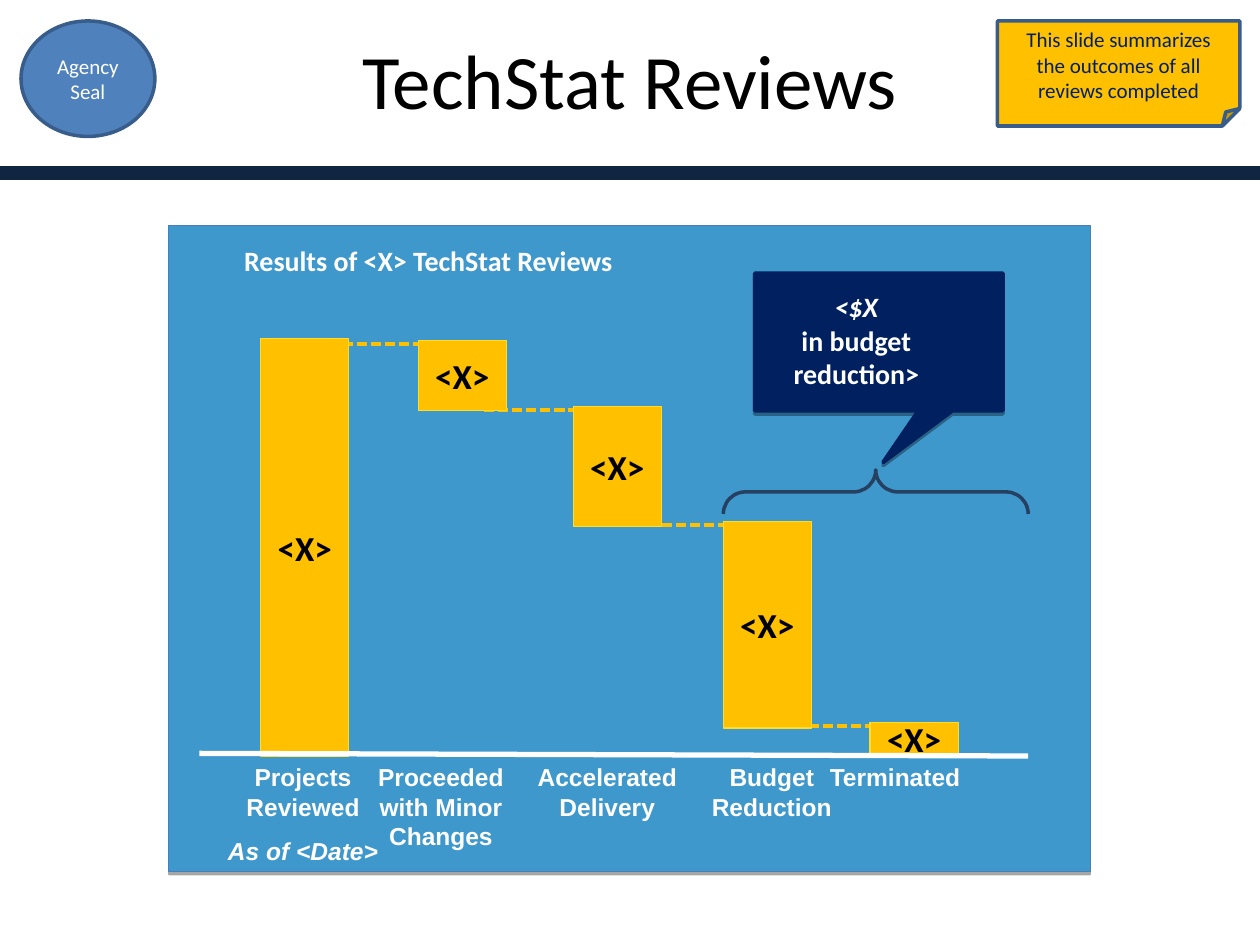
from dataclasses import dataclass
from itertools import chain

from lxml.etree import SubElement
from pptx import Presentation
from pptx.dml.color import RGBColor
from pptx.enum.dml import MSO_LINE_DASH_STYLE as Dash
from pptx.enum.shapes import MSO_CONNECTOR as Link, MSO_SHAPE as Kind
from pptx.enum.text import MSO_ANCHOR as Anchor, PP_ALIGN as Align
from pptx.oxml.ns import qn
from pptx.util import Pt


@dataclass(frozen=True)
class Theme:
    navy: str = "10253F"
    deep: str = "002060"
    seal: str = "4F81BD"
    edge: str = "385D8A"
    panel: str = "3F98CC"
    rim: str = "4A7EBB"
    gold: str = "FFC000"
    glow: str = "FFDC26"
    brace: str = "254061"
    white: str = "FFFFFF"
    black: str = "000000"
    body: str = "Calibri"
    label: str = "Arial"
    title: float = 44
    value: float = 20
    head: float = 16
    axis: float = 14
    small: float = 12


T = Theme()


@dataclass(frozen=True)
class Box:
    x: float
    y: float
    w: float
    h: float

    def pts(self) -> tuple:
        return Pt(self.x), Pt(self.y), Pt(self.w), Pt(self.h)


@dataclass(frozen=True)
class Style:
    size: float
    color: str
    face: str = T.body
    bold: bool = False
    align: Align = Align.CENTER


@dataclass(frozen=True)
class Label:
    box: Box
    text: str


BAR_W, DASH_W, DROP = 50.4, 76.5, 2
BARS = [
    Box(149, 193.5, BAR_W, 238.5),
    Box(239, 194.5, BAR_W, 40.3),
    Box(327.6, 232.3, BAR_W, 68.4),
    Box(413.3, 298, BAR_W, 118),
    Box(497.2, 412.8, BAR_W, 18.8),
]
LABELS = [
    Label(Box(107.3, 432, 131.8, 66), "Projects Reviewed"),
    Label(Box(198, 432, 108, 57.6), "Proceeded with Minor Changes"),
    Label(Box(281.5, 432, 131, 41), "Accelerated Delivery"),
    Label(Box(381.3, 432, 119.5, 41), "Budget Reduction"),
    Label(Box(455, 432, 113, 24.5), "Terminated"),
]
CALLOUT = [(431.3, 156.2), (573.1, 156.2), (573.1, 234.7), (544.3, 234.7),
           (504.7, 264.2), (524.9, 234.7), (431.3, 234.7)]


def rgb(code: str) -> RGBColor:
    return RGBColor.from_string(code)


def paint(shape, fill: str | None, line: str | None, width: float = 0.75) -> None:
    shape.shadow.inherit = False
    if fill:
        shape.fill.solid()
        shape.fill.fore_color.rgb = rgb(fill)
    else:
        shape.fill.background()
    if line:
        shape.line.color.rgb = rgb(line)
        shape.line.width = Pt(width)
    else:
        shape.line.fill.background()


def shade(shape) -> None:
    """Add a soft black drop shadow straight below the shape."""
    fx = shape._element.spPr.find(qn("a:effectLst"))
    drop = SubElement(fx, qn("a:outerShdw"), blurRad="0", dist=str(Pt(1.8)),
                      dir="5400000", rotWithShape="0")
    tone = SubElement(drop, qn("a:srgbClr"), val=T.black)
    SubElement(tone, qn("a:alpha"), val="35000")


def form(para, style: Style) -> None:
    para.alignment = style.align
    font = para.font
    font.name, font.size, font.bold = style.face, Pt(style.size), style.bold
    font.color.rgb = rgb(style.color)


def write(shape, text: str, style: Style, anchor: Anchor = Anchor.MIDDLE):
    frame = shape.text_frame
    frame.word_wrap = True
    frame.vertical_anchor = anchor
    para = frame.paragraphs[0]
    para.text = text
    form(para, style)
    return para


def block(slide, kind: Kind, box: Box, fill: str | None, line: str | None,
          width: float = 0.75):
    shape = slide.shapes.add_shape(kind, *box.pts())
    paint(shape, fill, line, width)
    return shape


def note(slide, box: Box, text: str, style: Style, anchor: Anchor = Anchor.TOP):
    shape = slide.shapes.add_textbox(*box.pts())
    write(shape, text, style, anchor)
    return shape


def rule(slide, x1: float, y1: float, x2: float, y2: float, color: str,
         width: float, dash: Dash | None = None) -> None:
    line = slide.shapes.add_connector(Link.STRAIGHT, Pt(x1), Pt(y1), Pt(x2), Pt(y2))
    line.line.color.rgb = rgb(color)
    line.line.width = Pt(width)
    if dash:
        line.line.dash_style = dash
    SubElement(line._element.spPr, qn("a:effectLst"))


def header(slide) -> None:
    block(slide, Kind.RECTANGLE, Box(0, 96, 720, 6), T.navy, T.navy, 2)
    seal = block(slide, Kind.OVAL, Box(12, 12, 76.5, 66), T.seal, T.edge, 2)
    write(seal, "Agency Seal", Style(T.small, T.white))
    seal.text_frame.margin_left = seal.text_frame.margin_right = 0
    memo = block(slide, Kind.FOLDED_CORNER, Box(570, 12, 138.5, 60), T.gold, T.edge, 2)
    write(memo, "This slide summarizes the outcomes of all reviews completed",
          Style(T.small, T.deep)).space_before = Pt(6)
    note(slide, Box(36, 0, 648, 90), "TechStat Reviews",
         Style(T.title, T.black), Anchor.MIDDLE)


def steps(slide) -> None:
    """Draw the falling bars, their dashed links, the axis and its labels."""
    for bar in BARS[1:]:
        end, y = bar.x + bar.w / 2, bar.y + DROP
        rule(slide, end - DASH_W, y, end, y, T.gold, 2, Dash.SQUARE_DOT)
    for bar in BARS:
        shape = block(slide, Kind.RECTANGLE, bar, T.gold, T.glow)
        write(shape, "<X>", Style(T.value, T.black, bold=True))
    rule(slide, 114, 430.5, 587.5, 432, T.white, 3)
    style = Style(T.axis, T.white, T.label, True)
    notes = [note(slide, item.box, item.text, style) for item in LABELS]
    date = notes[0].text_frame.add_paragraph()
    date.text = "As of <Date>"
    date.space_before = Pt(8.8)
    form(date, style)
    date.font.italic = True


def callout(slide) -> None:
    pen = slide.shapes.build_freeform(*(Pt(v) for v in CALLOUT[0]))
    pen.add_line_segments([(Pt(x), Pt(y)) for x, y in CALLOUT[1:]], close=True)
    bubble = pen.convert_to_shape()
    paint(bubble, T.deep, T.deep, 2.25)
    shade(bubble)
    area = note(slide, Box(433.5, 162, 111.6, 65), "",
                Style(T.head, T.white, bold=True))
    para = area.text_frame.paragraphs[0]
    for i, text in enumerate(["<$X", "in budget", "reduction>"]):
        if i:
            para.add_line_break()
        run = para.add_run()
        run.text = text
        run.font.italic = i == 0
    brace = block(slide, Kind.LEFT_BRACE, Box(487.8, 194, 25.2, 174.2), None, T.brace, 2)
    brace.adjustments[0] = 0.5
    brace.rotation = 90


def main() -> None:
    deck = Presentation()
    deck.slide_width, deck.slide_height = Pt(720), Pt(540)
    slide = deck.slides.add_slide(deck.slide_layouts[6])
    header(slide)
    shade(block(slide, Kind.RECTANGLE, Box(96.5, 129, 526.5, 369), T.panel, T.rim))
    note(slide, Box(132.5, 135.4, 227.5, 26.6), "Results of <X> TechStat Reviews",
         Style(T.head, T.white, bold=True, align=Align.LEFT))
    steps(slide)
    callout(slide)
    deck.save("out.pptx")


if __name__ == "__main__":
    main()
